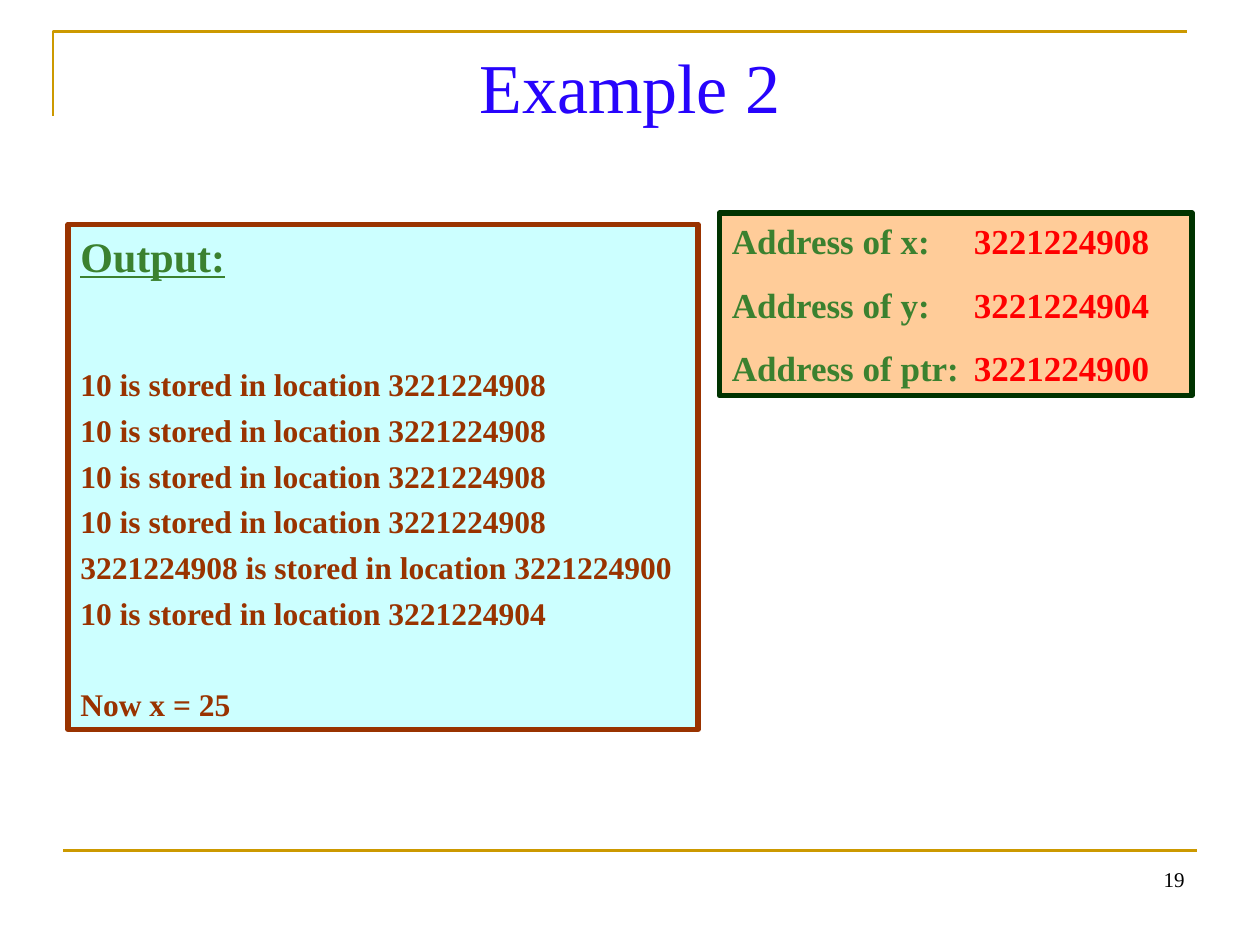
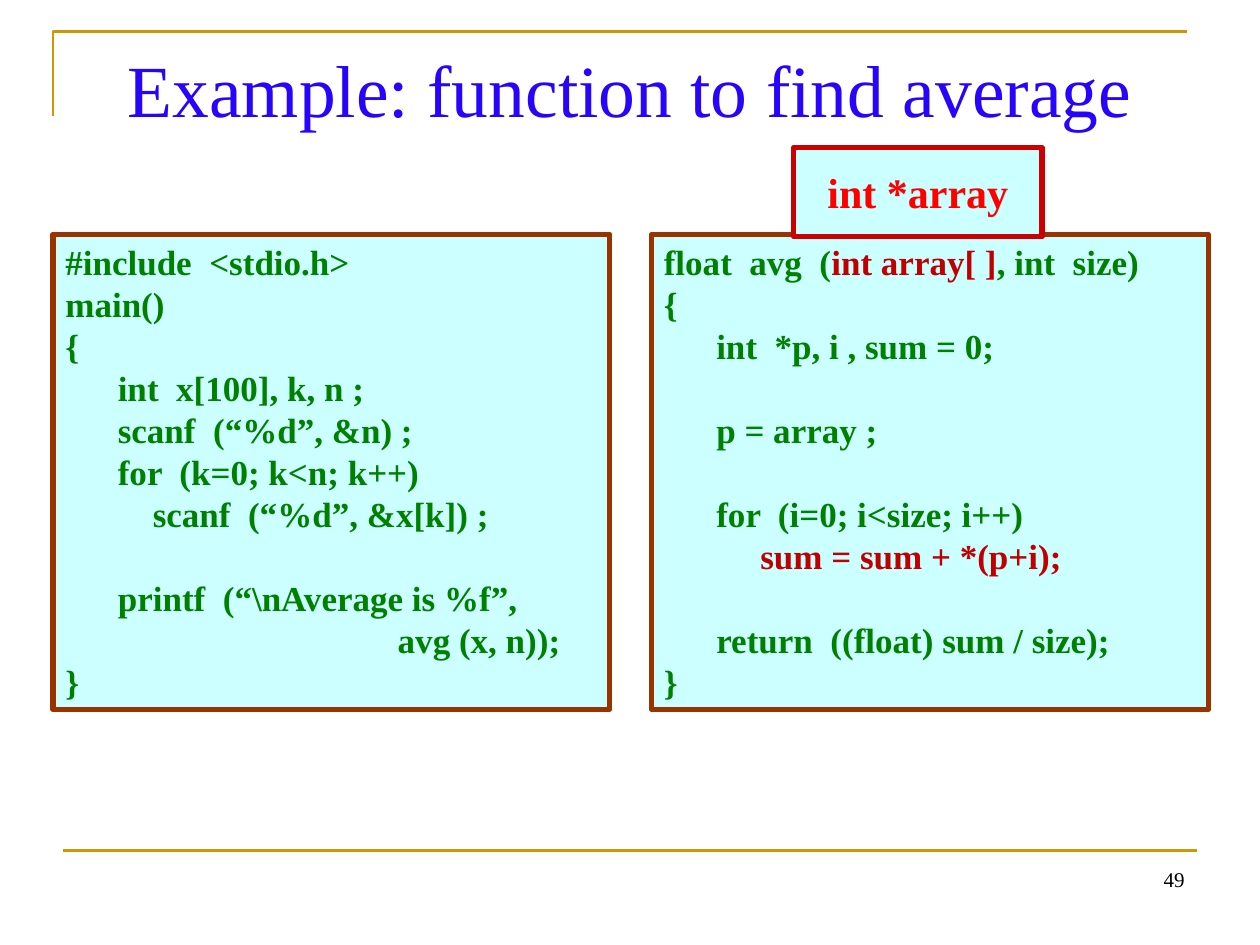
from lxml import etree
from pptx import Presentation
from pptx.dml.color import RGBColor
from pptx.enum.shapes import MSO_CONNECTOR, MSO_SHAPE
from pptx.enum.text import MSO_ANCHOR, MSO_AUTO_SIZE, PP_ALIGN
from pptx.oxml.ns import qn
from pptx.util import Inches, Pt

RECT = MSO_SHAPE.RECTANGLE
LINE = MSO_CONNECTOR.STRAIGHT
LEFT, MID, RIGHT = PP_ALIGN.LEFT, PP_ALIGN.CENTER, PP_ALIGN.RIGHT
TOP, CENTER = MSO_ANCHOR.TOP, MSO_ANCHOR.MIDDLE
GROW = MSO_AUTO_SIZE.SHAPE_TO_FIT_TEXT

FONT = "Times New Roman"
LEAD = 1.2  # line height per point of text size
GOLD, BLUE, BLACK = "CC9900", "2704FC", "000000"
CYAN, PEACH = "CCFFFF", "FFCC99"
BROWN, PINE = "993300", "003300"
MOSS, GREEN = "3B812F", "008000"
RED, WINE, CRIMSON = "FF0000", "C00000", "CC0000"

STORED = ["10 is stored in location 3221224908"] * 4 + [
    "3221224908 is stored in location 3221224900",
    "10 is stored in location 3221224904",
]
PLACES = [("x", "3221224908"), ("y", "3221224904"), ("ptr", "3221224900")]

MAIN = """#include  <stdio.h>
main()
{
      int  x[100], k, n ;
      scanf  (“%d”, &n) ;
      for  (k=0; k<n; k++)
          scanf  (“%d”, &x[k]) ;

      printf  (“\\nAverage is %f”,
                                      avg (x, n));
}"""
AVG = """float  avg  (int array[ ], int  size)
{
      int  *p, i , sum = 0;

      p = array ;

      for  (i=0; i<size; i++)
           sum = sum + *(p+i);

      return  ((float) sum / size);
}"""
MARKS = ["int array[ ]", "sum = sum + *(p+i);"]


def rgb(code):
    return RGBColor.from_string(code)


def stroke(line, color, width):
    line.color.rgb = rgb(color)
    line.width = Pt(width)


def write(frame, index, parts, size, bold=False, gap=0, align=LEFT):
    """Write one paragraph from (text, colour) parts."""
    para = frame.add_paragraph() if index else frame.paragraphs[0]
    para.alignment = align
    para.line_spacing = Pt(size * LEAD)
    if index:
        para.space_before = Pt(gap)
    for text, color in parts:
        run = para.add_run()
        run.text = text
        font = run.font
        font.name, font.size, font.bold = FONT, Pt(size), bold
        font.color.rgb = rgb(color)
    return para


def add_tab(para, pos):
    tabs = etree.SubElement(para._p.get_or_add_pPr(), qn("a:tabLst"))
    etree.SubElement(tabs, qn("a:tab"), pos=str(Inches(pos)), algn="l")


def label(slide, area, text, size, color, align):
    box = slide.shapes.add_textbox(*map(Inches, area))
    box.text_frame.word_wrap = True
    write(box.text_frame, 0, [(text, color)], size, align=align)


def panel(slide, area, fill, edge):
    """Add a framed box and return its text frame."""
    box = slide.shapes.add_shape(RECT, *map(Inches, area))
    box.shadow.inherit = False
    box.fill.solid()
    box.fill.fore_color.rgb = rgb(fill)
    stroke(box.line, edge, 3)
    frame = box.text_frame
    frame.word_wrap = True
    frame.vertical_anchor = TOP
    frame.auto_size = GROW
    return frame


def start(deck, title, size, number):
    """Add a slide with gold rules, title and page number."""
    slide = deck.slides.add_slide(deck.slide_layouts[6])
    left, top = Inches(0.42), Inches(0.25)
    path = slide.shapes.build_freeform(left, Inches(0.92))
    path.add_line_segments([(left, top), (Inches(9.42), top)], close=False)
    corner = path.convert_to_shape()
    corner.shadow.inherit = False
    corner.fill.background()
    stroke(corner.line, GOLD, 1.5)

    low = Inches(6.75)
    rule = slide.shapes.add_connector(LINE, Inches(0.5), low, Inches(9.5), low)
    etree.SubElement(rule._element.spPr, qn("a:effectLst"))
    stroke(rule.line, GOLD, 1.5)

    label(slide, (0.5, 0.3, 9, 1.25), title, size, BLUE, MID)
    label(slide, (7.17, 6.83, 2.33, 0.52), str(number), 12, BLACK, RIGHT)
    return slide


def split(line):
    """Split a code line into plain and marked parts."""
    for mark in MARKS:
        if mark in line:
            head, tail = line.split(mark)
            parts = [(head, GREEN), (mark, WINE), (tail, GREEN)]
            return [part for part in parts if part[0]]
    return [(line, GREEN)]


def code(slide, left, source):
    """Add a code panel; an empty line becomes space above the next."""
    frame = panel(slide, (left, 1.86, 4.42, 3.77), CYAN, BROWN)
    size, gap = 20, 0
    for index, line in enumerate(source.split("\n")):
        if not line:
            gap = size * LEAD
            continue
        write(frame, index, split(line), size, True, gap)
        gap = 0


def output(slide):
    frame = panel(slide, (0.54, 1.78, 5, 4.01), CYAN, BROWN)
    head = write(frame, 0, [("Output:", MOSS)], 24, True)
    head.runs[0].font.underline = True
    for index, text in enumerate(STORED, 1):
        gap = 48.3 if index == 1 else 4.5
        write(frame, index, [(text, BROWN)], 18, True, gap)
    write(frame, len(STORED) + 1, [("Now x = 25", BROWN)], 18, True, 30.6)


def places(slide):
    frame = panel(slide, (5.71, 1.69, 3.75, 1.45), PEACH, PINE)
    for index, (name, value) in enumerate(PLACES):
        parts = [(f"Address of {name}:", MOSS), ("\t" + value, RED)]
        para = write(frame, index, parts, 20, True, 12.5)
        add_tab(para, 1.92)


def callout(slide):
    frame = panel(slide, (6.3, 1.17, 1.97, 0.71), CYAN, CRIMSON)
    frame.auto_size = MSO_AUTO_SIZE.NONE
    frame.word_wrap = False
    frame.vertical_anchor = CENTER
    write(frame, 0, [("int *array", RED)], 24, True, align=MID)


def main():
    deck = Presentation()
    deck.slide_width, deck.slide_height = Inches(10), Inches(7.5)

    slide = start(deck, "Example 2", 40, 19)
    output(slide)
    places(slide)

    slide = start(deck, "Example: function to find average", 42, 49)
    code(slide, 0.42, MAIN)
    code(slide, 5.17, AVG)
    callout(slide)

    deck.save("out.pptx")


if __name__ == "__main__":
    main()
